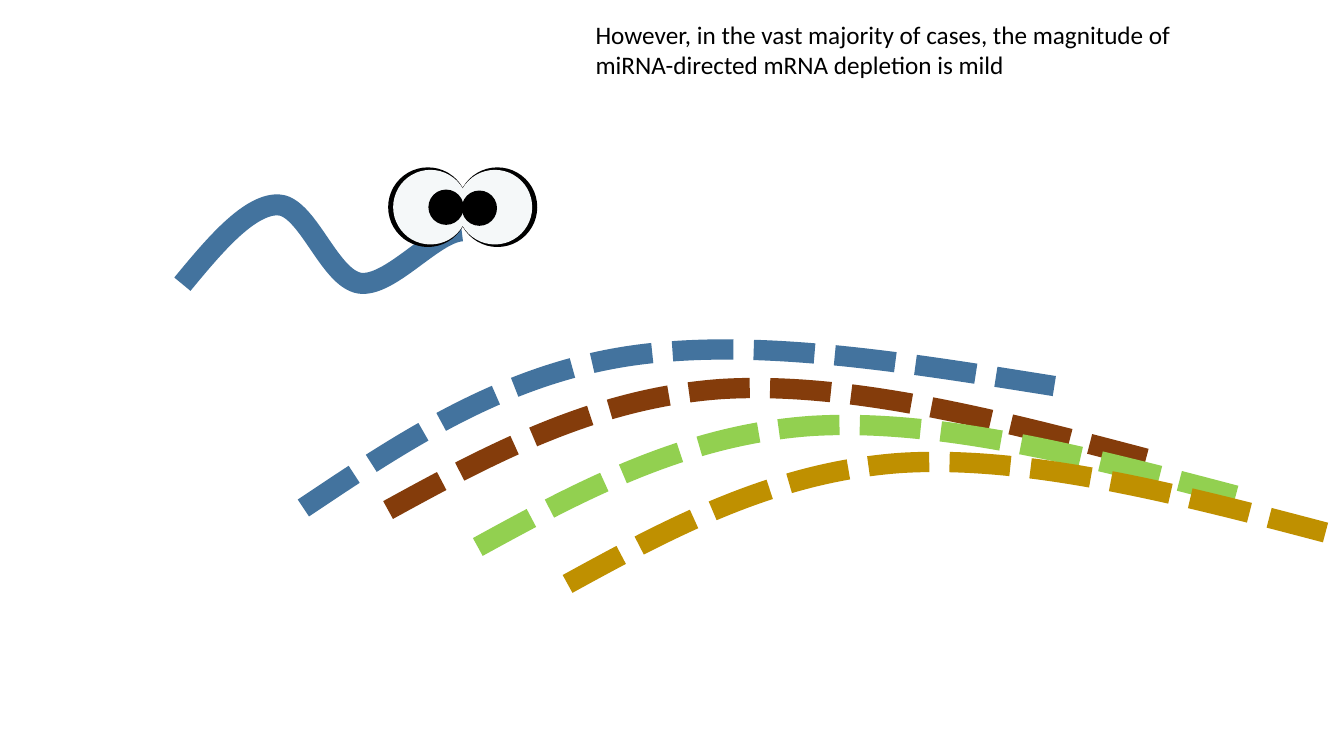
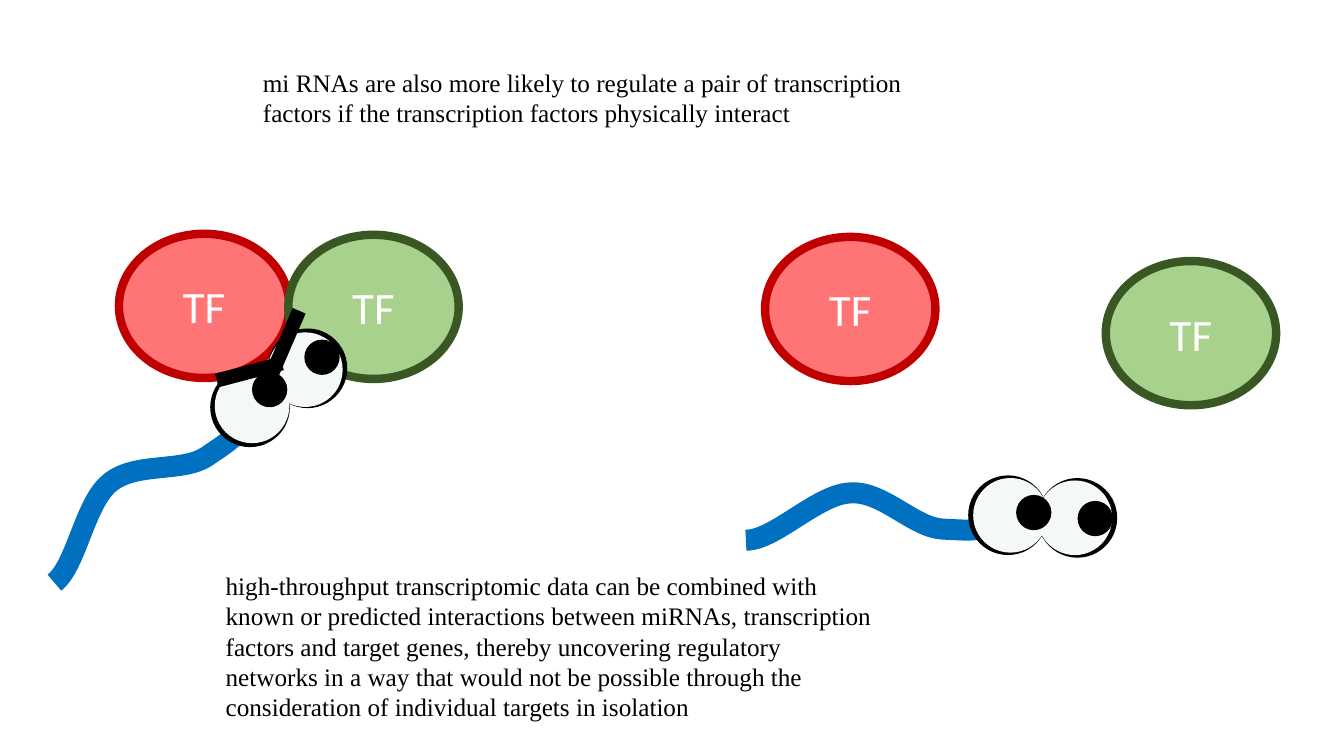
"""Build two slides on how miRNAs act on mRNAs and transcription factors."""
import math

import pptx
import pptx.dml.color
import pptx.enum.dml
import pptx.enum.shapes
import pptx.enum.text
import pptx.oxml.xmlchemy
import pptx.util

Pt = pptx.util.Pt
PRESET = pptx.enum.shapes.MSO_SHAPE
ALIGN = pptx.enum.text.PP_ALIGN
ANCHOR = pptx.enum.text.MSO_ANCHOR
DASH = pptx.enum.dml.MSO_LINE.SQUARE_DOT

BLACK, WHITE, EYE_WHITE = "000000", "FFFFFF", "F5F8F9"
STEEL, BLUE = "43739E", "0070C0"
RED_FACTOR = ("FF7575", "C00000")
GREEN_FACTOR = ("A9D18E", "385723")

RIM, EYE, PUPIL = 56.9, 53.3, 25.2
RIM_OFFSET, EYE_OFFSET = 24.8, 23
FACTOR_WIDTH, FACTOR_HEIGHT = 121.7, 103
ARM_WIDTH, ARM_HEIGHT = 48.2, 10.1
CAPTION_WIDTH = 480
STRAND_STEP = (64.1, 26.4)

TOP_STRAND = [(216.7, 362.9), (286.6, 316.1), (356.4, 269.3), (445.7, 254.9),
              (535.7, 240.5), (644.4, 258.5), (753.1, 275.8)]
LOWER_STRAND = [(277.2, 364.3), (350.6, 324), (424.8, 284.4), (514.8, 277.9),
                (605.5, 272.2), (712.1, 299.5), (818.6, 327.6)]
LOWER_COLORS = ["843C0B", "92D050", "BF9000"]

MILD_TAIL = [(130.3, 203), (153.4, 175), (177.1, 146.9), (198, 146.2),
             (219.6, 146.2), (234.7, 198.7), (257, 202.3),
             (278.6, 205.2), (309.6, 166.3), (329.8, 164.9)]
GRASPING_TAIL = [(182.9, 272.9), (179.3, 308.9), (164.9, 313.9), (147.6, 326.2),
                 (130.3, 337.7), (96.5, 329.8), (78.5, 344.9),
                 (60.5, 359.3), (54.7, 403.9), (38.9, 416.2)]
IDLE_TAIL = [(733.7, 355.7), (709.2, 383), (695.5, 378.7), (673.9, 378),
             (653, 377.3), (630.7, 350.6), (607.7, 352.1),
             (583.9, 352.8), (553.7, 385.9), (532.8, 385.9)]

MILD = ("However, in the vast majority of cases, the magnitude of "
        "miRNA-directed mRNA depletion is mild")
PAIRS = ("mi RNAs are also more likely to regulate a pair of transcription "
         "factors if the transcription factors physically interact")
NETWORKS = ("high-throughput transcriptomic data can be combined with known or "
            "predicted interactions between miRNAs, transcription factors and "
            "target genes, thereby uncovering regulatory networks in a way that "
            "would not be possible through the consideration of individual "
            "targets in isolation")


def color(value):
    """Turn a hex string into a colour."""
    return pptx.dml.color.RGBColor.from_string(value)


def apply_format(target, values):
    """Set every attribute named in values on target."""
    for name, value in values.items():
        setattr(target, name, value)


def write(frame, text, size, font, ink, align):
    """Put one formatted run of text into a text frame."""
    paragraph = frame.paragraphs[0]
    paragraph.alignment = align
    run = paragraph.add_run()
    run.text = text
    apply_format(run.font, {"size": Pt(size), "name": font})
    run.font.color.rgb = color(ink)


def caption(slide, text, left, top, height, font):
    """Add a wrapped caption."""
    box = slide.shapes.add_textbox(Pt(left), Pt(top), Pt(CAPTION_WIDTH), Pt(height))
    apply_format(box.text_frame, {
        "word_wrap": True,
        "auto_size": pptx.enum.text.MSO_AUTO_SIZE.SHAPE_TO_FIT_TEXT,
    })
    write(box.text_frame, text, 18, font, BLACK, ALIGN.LEFT)


def solid(shapes, preset, center, width, height, fill, rotation=0):
    """Add a filled, unoutlined shape around a centre."""
    x, y = center
    body = shapes.add_shape(preset, Pt(x - width / 2), Pt(y - height / 2),
                            Pt(width), Pt(height))
    body.rotation = rotation
    body.shadow.inherit = False
    body.fill.solid()
    body.fill.fore_color.rgb = color(fill)
    body.line.fill.background()
    return body


def curve(shapes, points, ink, width, dash=None):
    """Draw a chain of cubic curves: a start, then three points per curve."""
    start, *rest = [(Pt(x), Pt(y)) for x, y in points]
    builder = shapes.build_freeform(*start, scale=1.0)
    builder.add_line_segments(rest, close=False)
    strand = builder.convert_to_shape()
    segments = strand.element.xpath(".//a:lnTo")
    for first in range(0, len(segments), 3):
        bend = pptx.oxml.xmlchemy.OxmlElement("a:cubicBezTo")
        segments[first].addprevious(bend)
        for segment in segments[first:first + 3]:
            bend.append(segment[0])
            segment.getparent().remove(segment)
    strand.shadow.inherit = False
    strand.fill.background()
    strand.line.color.rgb = color(ink)
    apply_format(strand.line, {"width": Pt(width), "dash_style": dash})


def mirna(slide, tail, ink, middle, tilt, pupils, arms=()):
    """Draw a miRNA figure with a tail, a tilted pair of eyes and any arms."""
    shapes = slide.shapes.add_group_shape().shapes
    curve(shapes, tail, ink, 15)
    x, y = middle
    dx, dy = math.cos(math.radians(tilt)), math.sin(math.radians(tilt))
    for size, offset, fill in ((RIM, RIM_OFFSET, BLACK), (EYE, EYE_OFFSET, EYE_WHITE)):
        for side in (-offset, offset):
            solid(shapes, PRESET.OVAL, (x + side * dx, y + side * dy), size, size, fill)
    for pupil in pupils:
        solid(shapes, PRESET.OVAL, pupil, PUPIL, PUPIL, BLACK)
    for shoulder, angle in arms:
        solid(shapes, PRESET.RECTANGLE, shoulder, ARM_WIDTH, ARM_HEIGHT, BLACK, angle)


def factor(slide, center, colors):
    """Draw a labelled transcription factor."""
    fill, rim = colors
    protein = solid(slide.shapes, PRESET.OVAL, center, FACTOR_WIDTH, FACTOR_HEIGHT, fill)
    protein.line.color.rgb = color(rim)
    protein.line.width = Pt(6)
    protein.text_frame.vertical_anchor = ANCHOR.MIDDLE
    write(protein.text_frame, "TF", 32, "Calibri", WHITE, ALIGN.CENTER)


def depletion_slide(slide):
    """Show a miRNA above partly depleted mRNA strands."""
    curve(slide.shapes, TOP_STRAND, STEEL, 14.5, DASH)
    mirna(slide, MILD_TAIL, STEEL, (330.5, 148), 0, [(318.6, 148), (342.4, 148.7)])
    caption(slide, MILD, 418.3, 10.1, 51, "Calibri")
    step_x, step_y = STRAND_STEP
    for row, ink in enumerate(LOWER_COLORS):
        strand = [(x + row * step_x, y + row * step_y) for x, y in LOWER_STRAND]
        curve(slide.shapes, strand, ink, 14.5, DASH)


def factors_slide(slide):
    """Contrast interacting and separate transcription factors."""
    caption(slide, PAIRS, 180.7, 44.6, 51, "Times New Roman")
    factor(slide, (145.8, 218.5), RED_FACTOR)
    factor(slide, (266.8, 219.2), GREEN_FACTOR)
    mirna(slide, GRASPING_TAIL, BLUE, (199.1, 277), -34.2,
          [(230, 255.2), (192.6, 278.3)],
          [((178.2, 265.7), 345.2), ((204.1, 244.1), 113.3)])
    factor(slide, (607.3, 220.7), RED_FACTOR)
    factor(slide, (850.7, 238), GREEN_FACTOR)
    mirna(slide, IDLE_TAIL, BLUE, (744.8, 369), 2.2,
          [(782.3, 370.4), (738.4, 366.1)])
    caption(slide, NETWORKS, 154.1, 403.9, 116.6, "Times New Roman")


def main():
    """Build and save the presentation."""
    deck = pptx.Presentation()
    apply_format(deck, {"slide_width": Pt(960), "slide_height": Pt(540)})
    blank = deck.slide_layouts[6]
    for build in (depletion_slide, factors_slide):
        build(deck.slides.add_slide(blank))
    deck.save("out.pptx")


if __name__ == "__main__":
    main()
